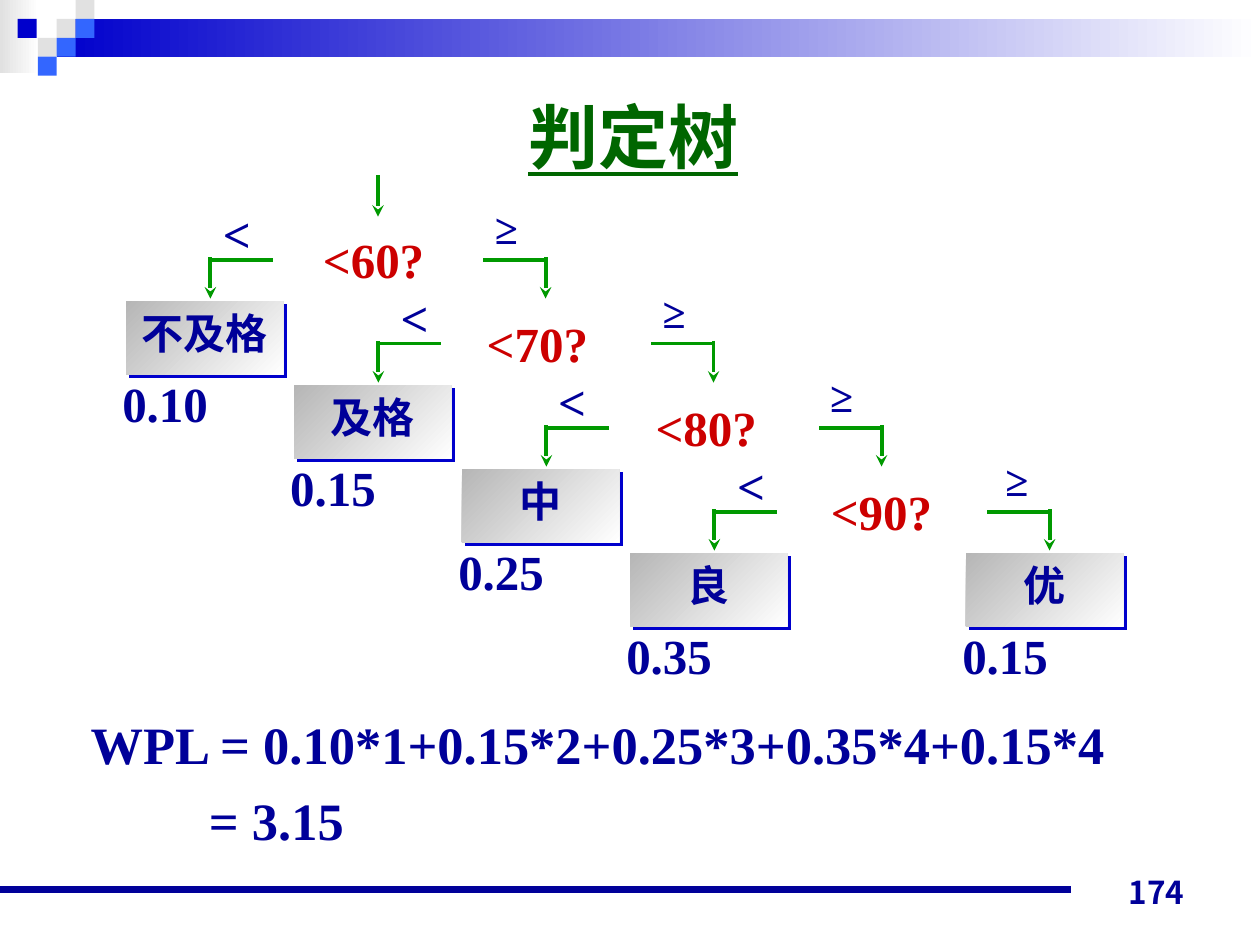
"""Build the decision tree slide with its weighted path length."""
from dataclasses import dataclass

from lxml import etree
from pptx import Presentation
from pptx.dml.color import RGBColor
from pptx.enum import dml, shapes, text
from pptx.oxml import ns
from pptx.util import Inches, Pt

WIDTH, HEIGHT = 10, 7.5
COLUMN, ROW = WIDTH / 7.5, HEIGHT / 11.25
TILE = 0.15
NAVY, BLUE, SKY, GREEN, RED = "000099", "0000CC", "3366FF", "009900", "CC0000"
SILVER, WHITE = "E1E1E1", "FFFFFF"
SERIF = "Times New Roman"


@dataclass(frozen=True)
class Style:
    """Look of a run of text."""
    size: float
    color: str = NAVY
    font: str = SERIF
    underline: bool = False


@dataclass(frozen=True)
class Test:
    """Question of one tree level, with the left edges of its labels."""
    question: str
    question_left: float
    less_left: float
    more_left: float


@dataclass(frozen=True)
class Leaf:
    """Grade with its probability, placed by grid column and row."""
    grade: str
    weight: str
    column: int
    row: int


TESTS = (
    Test("<60?", 2.46, 1.67, 3.75),
    Test("<70?", 3.76, 3.08, 5.08),
    Test("<80?", 5.1, 4.33, 6.41),
    Test("<90?", 6.49, 5.75, 7.8),
)
LEAVES = (
    Leaf("不及格", "0.10", 0, 0),
    Leaf("及格", "0.15", 1, 1),
    Leaf("中", "0.25", 2, 2),
    Leaf("良", "0.35", 3, 3),
    Leaf("优", "0.15", 5, 3),
)
TILES = (
    (0.45, 0.15, SILVER), (0.6, 0, SILVER), (0.6, 0.15, SKY), (0.3, 0.3, SILVER),
    (0.14, 0.15, BLUE), (0.45, 0.3, SKY), (0.3, 0.45, SKY),
)


def rgb(value: str) -> RGBColor:
    """Turn a hex string into a colour."""
    return RGBColor.from_string(value)


def add_block(page, left: float, top: float, width: float, height: float,
              color: str, end: str = "", angle: float = 0):
    """Draw a borderless rectangle, graded when an end colour is given."""
    block = page.shapes.add_shape(shapes.MSO_SHAPE.RECTANGLE, Inches(left), Inches(top),
                                  Inches(width), Inches(height))
    block.shadow.inherit = False
    block.line.fill.background()
    if end:
        block.fill.gradient()
        block.fill.gradient_angle = angle
        for stop, shade, position in zip(block.fill.gradient_stops, (color, end), (0, 1)):
            stop.color.rgb = rgb(shade)
            stop.position = position
    else:
        block.fill.solid()
        block.fill.fore_color.rgb = rgb(color)
    return block


def add_hard_shadow(block, color: str) -> None:
    """Give a block a sharp shadow down and to the right."""
    effects = block._element.spPr.find(ns.qn("a:effectLst"))
    shadow = etree.SubElement(effects, ns.qn("a:outerShdw"), blurRad="0", dist=str(Pt(2.8)),
                              dir="2700000", algn="ctr", rotWithShape="0")
    etree.SubElement(shadow, ns.qn("a:srgbClr"), val=color)


def add_line(page, start: tuple[float, float], end: tuple[float, float],
             color: str = GREEN, weight: float = 2.25, arrow: bool = False) -> None:
    """Draw a straight line, with an arrowhead at its end if asked."""
    line = page.shapes.add_connector(shapes.MSO_CONNECTOR.STRAIGHT,
                                     *(Inches(value) for value in (*start, *end)))
    line.line.color.rgb = rgb(color)
    line.line.width = Pt(weight)
    line.line.dash_style = dml.MSO_LINE.SOLID
    if arrow:
        etree.SubElement(line.line._get_or_add_ln(), ns.qn("a:tailEnd"), type="stealth")
    etree.SubElement(line._element.spPr, ns.qn("a:effectLst"))


def write(box, lines: tuple[str, ...], style: Style, align=text.PP_ALIGN.CENTER,
          anchor=text.MSO_ANCHOR.MIDDLE) -> None:
    """Fill a shape with unwrapped lines in one bold style."""
    frame = box.text_frame
    frame.word_wrap = False
    frame.vertical_anchor = anchor
    for index, line in enumerate(lines):
        para = frame.add_paragraph() if index else frame.paragraphs[0]
        para.alignment = align
        span = para.add_run()
        span.text = line
        span.font.name = style.font
        span.font.size = Pt(style.size)
        span.font.bold = True
        span.font.underline = style.underline
        span.font.color.rgb = rgb(style.color)


def add_text(page, left: float, top: float, width: float, height: float,
             lines: tuple[str, ...], style: Style, **layout):
    """Add a text box holding the lines."""
    box = page.shapes.add_textbox(Inches(left), Inches(top), Inches(width), Inches(height))
    write(box, lines, style, **layout)
    return box


def add_frame(page) -> None:
    """Draw the top band, the tiles, the bottom rule and the page number."""
    add_block(page, 0, 0, 0.31, 0.58, SILVER, WHITE)
    add_block(page, 0.45, TILE, WIDTH - 0.45, 2 * TILE, BLUE, WHITE)
    for left, top, color in TILES:
        add_block(page, left, top, TILE, TILE, color)
    add_line(page, (0, 7.06), (0.85 * WIDTH, 7.06), NAVY, 4.5)
    add_text(page, 7.17, 6.78, 2.33, 0.5, ("174",), Style(18, font="Noto Sans CJK JP"),
             align=text.PP_ALIGN.RIGHT, anchor=text.MSO_ANCHOR.BOTTOM)


def add_test(page, test: Test, level: int) -> None:
    """Draw one question and its two branches."""
    drop = level * ROW
    for side, inward in ((1.67, 0.5), (4.33, -0.5)):
        corner = side + level * COLUMN
        add_line(page, (corner, 2.06 + drop), (corner + inward, 2.06 + drop))
        add_line(page, (corner, 2.04 + drop), (corner, 2.37 + drop), arrow=True)
    add_text(page, test.question_left, 1.77 + drop, 1.01, 0.57, (test.question,), Style(28, RED))
    add_text(page, test.less_left, 1.56 + drop, 0.42, 0.57, ("<",), Style(28))
    add_text(page, test.more_left, 1.56 + drop, 0.54, 0.5, ("≥",), Style(24))


def add_leaf(page, leaf: Leaf) -> None:
    """Draw one grade block with its probability below."""
    left, top = 1 + leaf.column * COLUMN, 2.39 + leaf.row * ROW
    block = add_block(page, left, top, 1.25, 0.58, "B6B6B6", WHITE, 315)
    add_hard_shadow(block, BLUE)
    write(block, (leaf.grade,), Style(24), anchor=text.MSO_ANCHOR.TOP)
    add_text(page, left - 0.13, top + 0.52, 0.88, 0.57, (leaf.weight,), Style(28))


def main() -> None:
    """Build and save the slide."""
    deck = Presentation()
    deck.slide_width, deck.slide_height = Inches(WIDTH), Inches(HEIGHT)
    page = deck.slides.add_slide(deck.slide_layouts[6])
    add_frame(page)
    add_text(page, 4.09, 0.69, 1.87, 0.77, ("判定树",), Style(40, "006600", underline=True))
    add_line(page, (3, 1.39), (3, 1.72), arrow=True)
    for level, test in enumerate(TESTS):
        add_test(page, test, level)
    for leaf in LEAVES:
        add_leaf(page, leaf)
    formula = add_text(page, 0.62, 5.6, 8.28, 1.2,
                       ("WPL = 0.10*1+0.15*2+0.25*3+0.35*4+0.15*4", "= 3.15"), Style(30),
                       align=text.PP_ALIGN.LEFT, anchor=text.MSO_ANCHOR.BOTTOM)
    result = formula.text_frame.paragraphs[1]
    result.space_before = Pt(7)
    result._p.get_or_add_pPr().set("marL", str(Inches(0.94)))
    deck.save("out.pptx")


if __name__ == "__main__":
    main()
